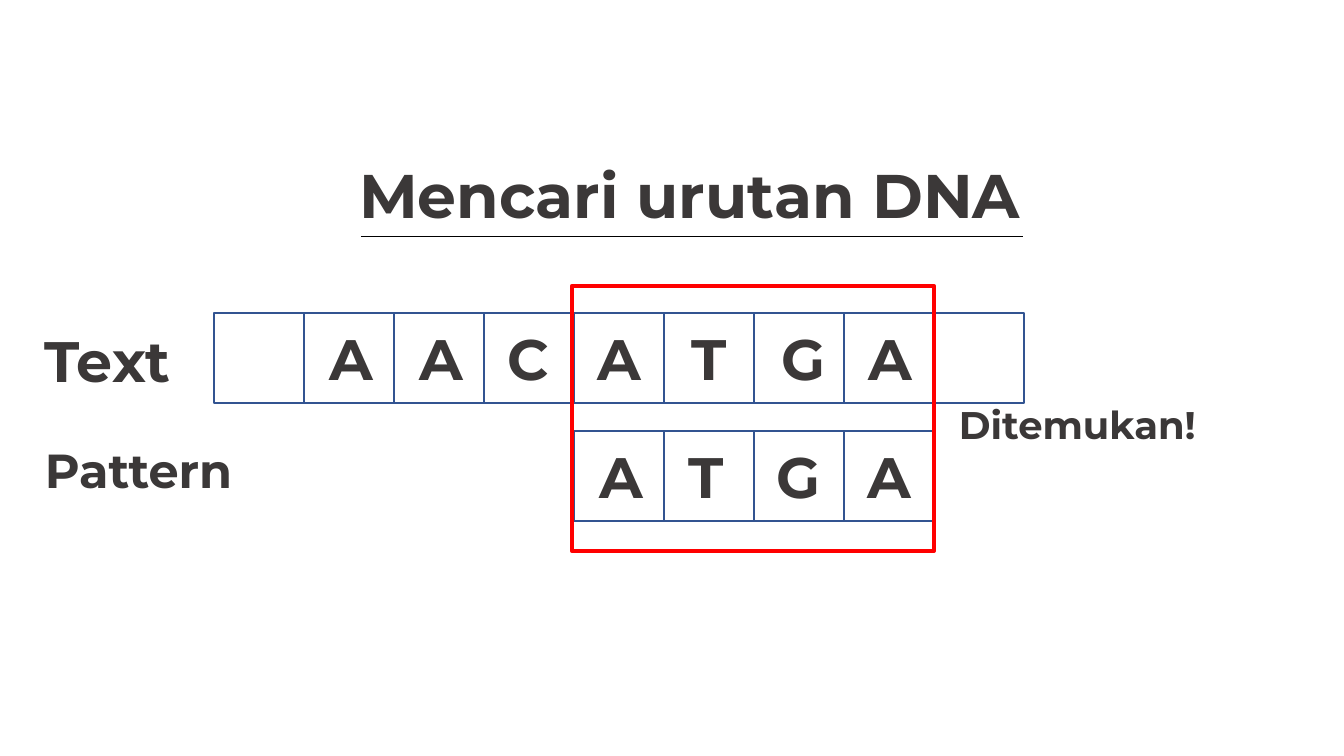
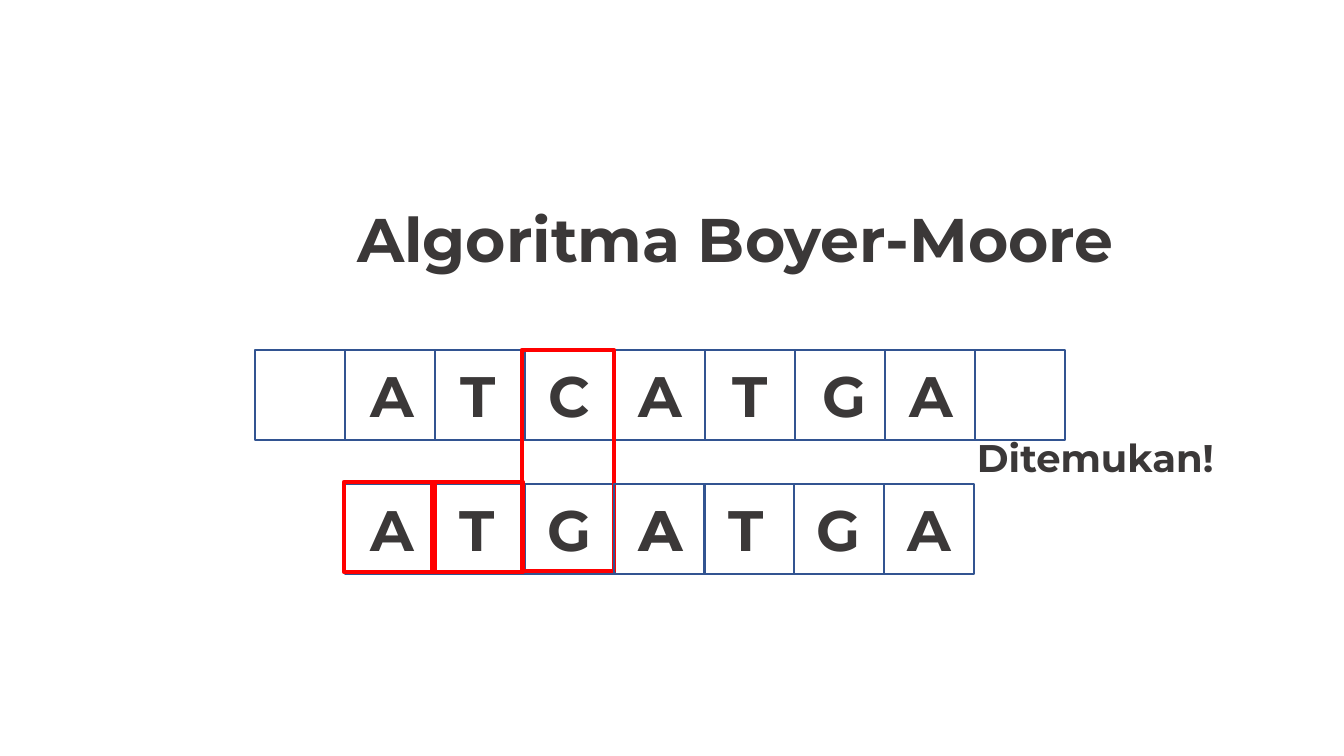
"""Builds two slides that match a DNA pattern against a text, cell by cell."""
from dataclasses import dataclass

from lxml import etree
from pptx import Presentation
from pptx.dml.color import RGBColor
from pptx.enum.shapes import MSO_CONNECTOR, MSO_SHAPE
from pptx.enum.text import MSO_ANCHOR, MSO_AUTO_SIZE, PP_ALIGN
from pptx.oxml.ns import qn
from pptx.shapes.shapetree import GroupShapes, SlideShapes
from pptx.slide import Slide
from pptx.text.text import TextFrame
from pptx.util import Emu, Pt

RECTANGLE = MSO_SHAPE.RECTANGLE
STRAIGHT = MSO_CONNECTOR.STRAIGHT
LEFT = PP_ALIGN.LEFT
MIDDLE = MSO_ANCHOR.MIDDLE
NO_AUTOFIT = MSO_AUTO_SIZE.NONE

SLIDE_WIDTH, SLIDE_HEIGHT = 1344, 756
EMU_PER_PX = 12192000 / SLIDE_WIDTH
TITLE_ONLY = 5
CELL = 90
LETTER_DROP, LETTER_WIDTH, TEXT_HEIGHT = 21, 72, 64
TITLE_SIZE, LETTER_SIZE, PATTERN_SIZE, VERDICT_SIZE = 44, 40.7, 34.1, 27.5
TITLE_SPACING, TEXT_SPACING = 0.9, 0.7

COLORS = {"ink": "3B3838", "cell": "325491", "match": "FF0000", "rule": "000000"}
FONT_FORMAT = {"name": "Montserrat", "bold": True}
FRAME_FORMAT = {"word_wrap": True, "auto_size": NO_AUTOFIT, "vertical_anchor": MIDDLE}

TEXT_NUDGES = (0, 16, 16, 14, 14, 18, 18, 15, 0)
PATTERN_NUDGES = (16, 15, 13, 14)


@dataclass(frozen=True)
class Box:
    """A rectangle in px."""
    left: int
    top: int
    width: int
    height: int

    def emu(self) -> tuple[Emu, ...]:
        """Return the four lengths in EMU."""
        return tuple(map(px, (self.left, self.top, self.width, self.height)))


@dataclass(frozen=True)
class Sequence:
    """A row of cells, each letter nudged from the left side of its cell."""
    left: int
    top: int
    letters: str
    nudges: tuple[int, ...]


@dataclass(frozen=True)
class Label:
    """A line of text beside the sequences."""
    wording: str
    box: Box
    size: float


@dataclass(frozen=True)
class Match:
    """A frame around compared cells."""
    box: Box


@dataclass(frozen=True)
class Rule:
    """A horizontal line below the title."""
    left: int
    right: int
    top: int


@dataclass(frozen=True)
class Page:
    """A slide title and its elements, from back to front."""
    title: str
    title_box: Box
    elements: tuple[Sequence | Label | Match | Rule, ...]


PAGES = (
    Page("Mencari urutan DNA", Box(349, 126, 695, 146), (
        Sequence(214, 313, " AACATGA ", TEXT_NUDGES),
        Label("Text", Box(35, 336, 175, TEXT_HEIGHT), LETTER_SIZE),
        Label("Pattern", Box(35, 444, 225, TEXT_HEIGHT), PATTERN_SIZE),
        Sequence(574, 431, "ATGA", PATTERN_NUDGES),
        Label("Ditemukan!", Box(949, 398, 268, TEXT_HEIGHT), VERDICT_SIZE),
        Match(Box(572, 286, 362, 265)),
        Rule(361, 1023, 236),
    )),
    Page("Algoritma Boyer-Moore", Box(347, 170, 786, 146), (
        Sequence(255, 350, " ATCATGA ", TEXT_NUDGES),
        Sequence(345, 484, "ATGA", PATTERN_NUDGES),
        Match(Box(522, 350, 92, 221)),
        Match(Box(432, 482, 91, 90)),
        Match(Box(344, 482, 91, 90)),
        Sequence(614, 484, "ATGA", PATTERN_NUDGES),
        Label("Ditemukan!", Box(967, 431, 268, TEXT_HEIGHT), VERDICT_SIZE),
    )),
)


def px(length: float) -> Emu:
    """Turn px into EMU."""
    return Emu(round(length * EMU_PER_PX))


def color(name: str) -> RGBColor:
    """Look up a colour by its role."""
    return RGBColor.from_string(COLORS[name])


def write(frame: TextFrame, wording: str, size: float, spacing: float) -> None:
    """Fill a text frame with one formatted line."""
    for attribute, value in FRAME_FORMAT.items():
        setattr(frame, attribute, value)
    paragraph = frame.paragraphs[0]
    paragraph.alignment = LEFT
    paragraph.line_spacing = spacing
    run = paragraph.add_run()
    run.text = wording
    for attribute, value in {**FONT_FORMAT, "size": Pt(size)}.items():
        setattr(run.font, attribute, value)
    run.font.color.rgb = color("ink")


def draw_outline(shapes: SlideShapes | GroupShapes, box: Box, role: str, weight: float) -> None:
    """Draw an unfilled rectangle."""
    outline = shapes.add_shape(RECTANGLE, *box.emu())
    outline.shadow.inherit = False
    outline.fill.background()
    outline.line.color.rgb = color(role)
    outline.line.width = Pt(weight)


def draw_label(shapes: SlideShapes | GroupShapes, label: Label) -> None:
    """Draw a text box."""
    textbox = shapes.add_textbox(*label.box.emu())
    write(textbox.text_frame, label.wording, label.size, TEXT_SPACING)


def draw_sequence(shapes: SlideShapes, sequence: Sequence) -> None:
    """Draw a group of cells with their letters on top."""
    members = shapes.add_group_shape().shapes
    lefts = [sequence.left + CELL * i for i in range(len(sequence.letters))]
    for left in lefts:
        draw_outline(members, Box(left, sequence.top, CELL, CELL), "cell", 1)
    for left, letter, nudge in zip(lefts, sequence.letters, sequence.nudges):
        if letter != " ":
            box = Box(left + nudge, sequence.top + LETTER_DROP, LETTER_WIDTH, TEXT_HEIGHT)
            draw_label(members, Label(letter, box, LETTER_SIZE))


def draw_match(shapes: SlideShapes, match: Match) -> None:
    """Draw the frame around compared cells."""
    draw_outline(shapes, match.box, "match", 3)


def draw_rule(shapes: SlideShapes, rule: Rule) -> None:
    """Draw the line below the title."""
    ends = map(px, (rule.left, rule.top, rule.right, rule.top))
    underline = shapes.add_connector(STRAIGHT, *ends)
    underline.line.color.rgb = color("rule")
    underline.line.width = Pt(0.5)
    etree.SubElement(underline._element.spPr, qn("a:effectLst"))


DRAWERS = {Sequence: draw_sequence, Label: draw_label, Match: draw_match, Rule: draw_rule}


def draw_page(slide: Slide, page: Page) -> None:
    """Place the title and draw all elements of a page."""
    title = slide.shapes.title
    title.left, title.top, title.width, title.height = page.title_box.emu()
    write(title.text_frame, page.title, TITLE_SIZE, TITLE_SPACING)
    for element in page.elements:
        DRAWERS[type(element)](slide.shapes, element)


def main() -> None:
    """Build and save the presentation."""
    presentation = Presentation()
    presentation.slide_width = px(SLIDE_WIDTH)
    presentation.slide_height = px(SLIDE_HEIGHT)
    for page in PAGES:
        draw_page(presentation.slides.add_slide(presentation.slide_layouts[TITLE_ONLY]), page)
    presentation.save("out.pptx")


if __name__ == "__main__":
    main()
